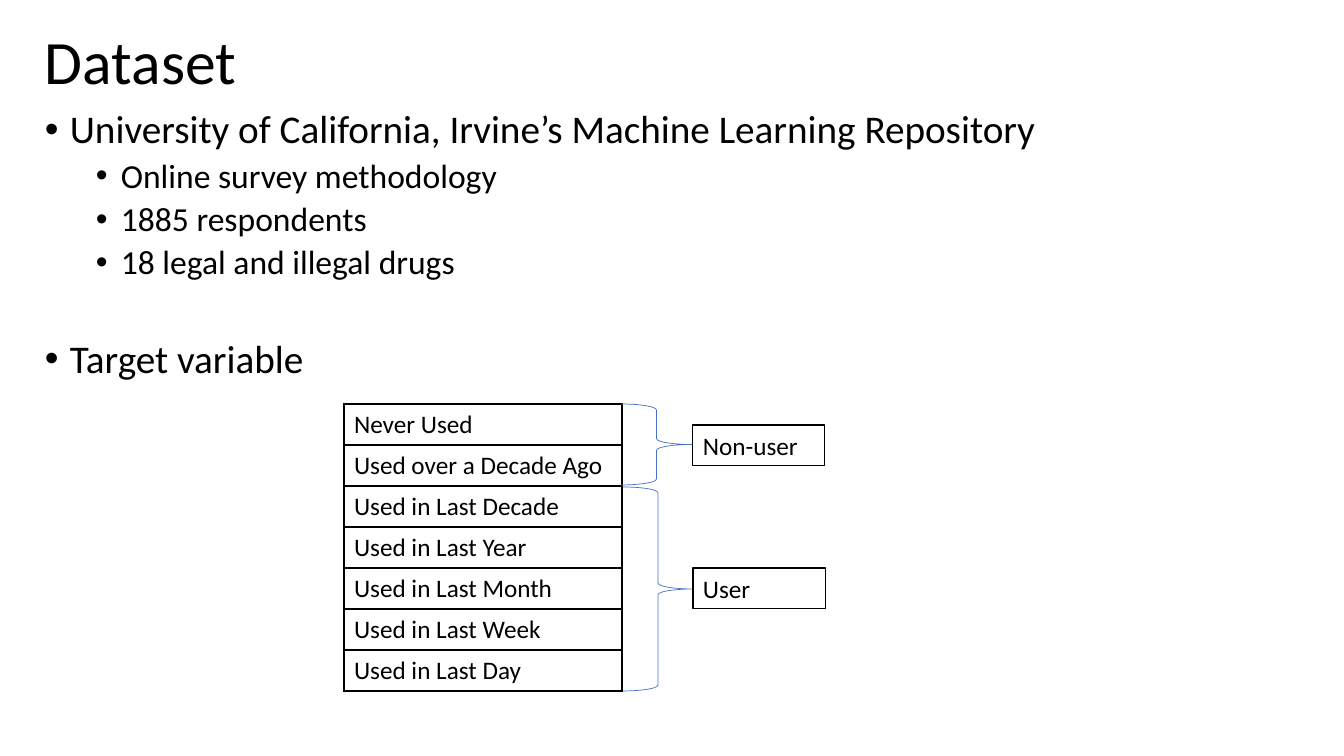
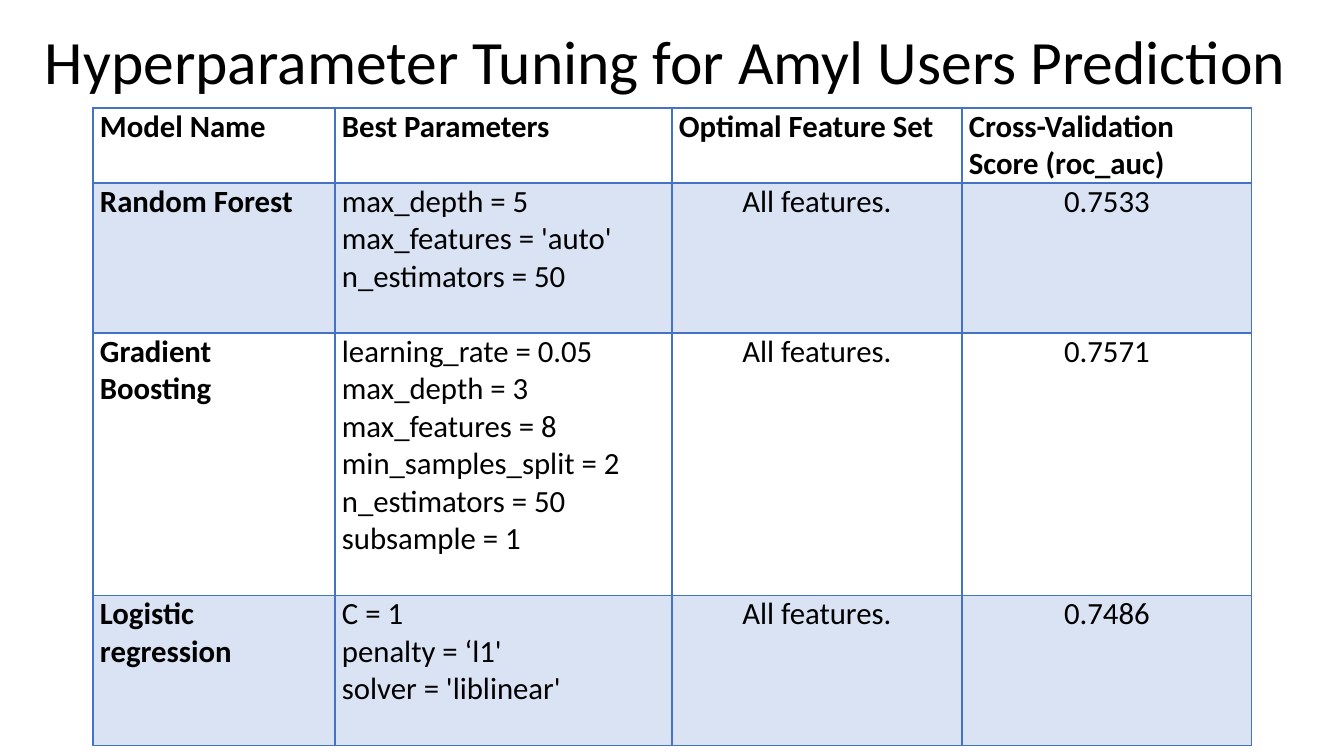
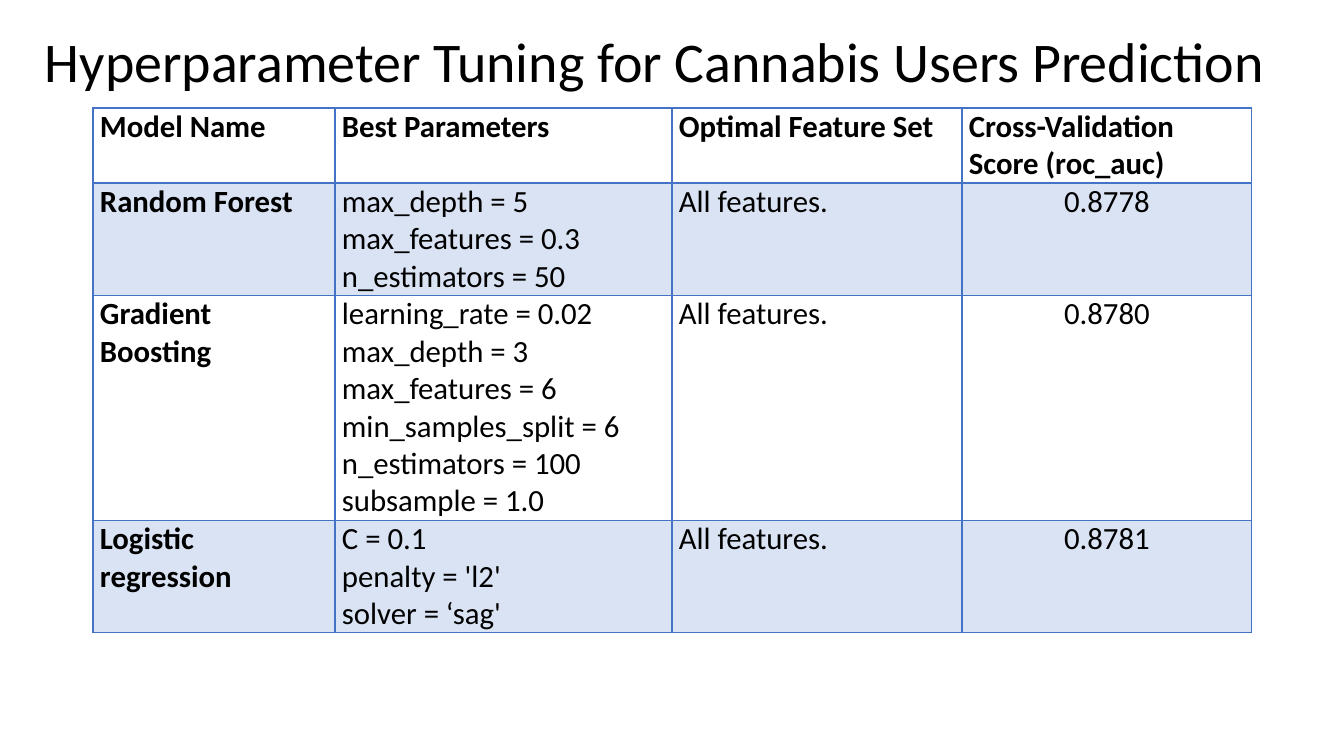
import pptx
import pptx.util
import pptx.dml.color
import pptx.enum.shapes
import pptx.enum.text
import pptx.oxml
import pptx.oxml.ns
import lxml.etree

ALIGN = pptx.enum.text.PP_ALIGN
ANCHOR = pptx.enum.text.MSO_ANCHOR
SHAPE = pptx.enum.shapes.MSO_SHAPE
BLACK = pptx.dml.color.RGBColor(0x00, 0x00, 0x00)
BLUE = pptx.dml.color.RGBColor(0x44, 0x72, 0xC4)
PALE_BLUE = pptx.dml.color.RGBColor(0xDA, 0xE3, 0xF3)
FONT = "Calibri"

DATASET_POINTS = [
    (0, "University of California, Irvine’s Machine Learning Repository", 10),
    (1, "Online survey methodology", 5),
    (1, "1885 respondents", 5),
    (1, "18 legal and illegal drugs", 5),
    (0, "Target variable", 41),
]
LEVELS = [(28, 25), (24, 76)]
HANGING = 25
USAGE = [
    "Never Used",
    "Used over a Decade Ago",
    "Used in Last Decade",
    "Used in Last Year",
    "Used in Last Month",
    "Used in Last Week",
    "Used in Last Day",
]
GROUPS = [
    ("Non-user", (621, 404, 71, 81), (693, 425, 132, 41)),
    ("User", (623, 487, 70, 204), (693, 568, 133, 41)),
]
HEADINGS = ["Model Name", "Best Parameters", "Optimal Feature Set",
            "Cross-Validation Score (roc_auc)"]
MODELS = ["Random Forest", "Gradient Boosting", "Logistic regression"]
FEATURES = "All features."
TUNINGS = [
    {
        "title": "Hyperparameter Tuning for Amyl Users Prediction",
        "title_size": 44,
        "feature_align": ALIGN.CENTER,
        "spare_lines": 1,
        "parameters": [
            ["max_depth = 5", "max_features = 'auto'", "n_estimators = 50"],
            ["learning_rate = 0.05", "max_depth = 3", "max_features = 8",
             "min_samples_split = 2", "n_estimators = 50", "subsample = 1"],
            ["C = 1", "penalty = ‘l1'", "solver = 'liblinear'"],
        ],
        "scores": ["0.7533", "0.7571", "0.7486"],
    },
    {
        "title": "Hyperparameter Tuning for Cannabis Users Prediction",
        "title_size": 40,
        "feature_align": ALIGN.JUSTIFY,
        "spare_lines": 0,
        "parameters": [
            ["max_depth = 5", "max_features = 0.3", "n_estimators = 50"],
            ["learning_rate = 0.02", "max_depth = 3", "max_features = 6",
             "min_samples_split = 6", "n_estimators = 100", "subsample = 1.0"],
            ["C = 0.1", "penalty = 'l2'", "solver = ‘sag'"],
        ],
        "scores": ["0.8778", "0.8780", "0.8781"],
    },
]
TUNING_COLUMNS = [242, 337, 290, 290]
TUNING_LINE = 37.5


def px(length):
    return pptx.util.Emu(round(length * 914400 / 100.8))


def box(*lengths):
    return [px(length) for length in lengths]


def style(paragraph, size, bold=False, align=ALIGN.LEFT):
    paragraph.font.name = FONT
    paragraph.font.size = pptx.util.Pt(size)
    paragraph.font.bold = bold
    paragraph.font.color.rgb = BLACK
    paragraph.alignment = align


def fill_text(frame, lines, size, bold=False, align=ALIGN.LEFT):
    frame.text = "\n".join(lines)
    for paragraph in frame.paragraphs:
        style(paragraph, size, bold, align)


def add_titled_slide(title, size):
    slide = deck.slides.add_slide(deck.slide_layouts[6])
    frame = slide.shapes.add_textbox(*box(35, 24, 1273, 81)).text_frame
    frame.word_wrap = True
    frame.vertical_anchor = ANCHOR.MIDDLE
    fill_text(frame, [title], size)
    frame.paragraphs[0].line_spacing = 0.9
    return slide


def add_points(slide):
    frame = slide.shapes.add_textbox(*box(35, 105, 1275, 619)).text_frame
    frame.word_wrap = True
    frame.text = "\n".join(text for _, text, _ in DATASET_POINTS)
    for paragraph, (level, _, before) in zip(frame.paragraphs, DATASET_POINTS):
        size, indent = LEVELS[level]
        style(paragraph, size)
        paragraph.level = level
        paragraph.line_spacing = 0.9
        paragraph.space_before = pptx.util.Pt(before)
        properties = paragraph._p.get_or_add_pPr()
        properties.set("marL", str(px(indent)))
        properties.set("indent", str(px(-HANGING)))
        for tag, key, value in (("buFont", "typeface", "Arial"), ("buChar", "char", "•")):
            lxml.etree.SubElement(properties, pptx.oxml.ns.qn("a:" + tag)).set(key, value)


def add_grid(slide, left, top, columns, rows):
    grid = slide.shapes.add_table(
        len(rows), len(columns), *box(left, top, sum(columns), sum(rows))).table
    grid.first_row = False
    grid.horz_banding = False
    for column, width in zip(grid.columns, columns):
        column.width = px(width)
    for row, height in zip(grid.rows, rows):
        row.height = px(height)
    return grid


def set_borders(cell, color, top=1, bottom=1):
    for side, width in (("L", 1), ("R", 1), ("T", top), ("B", bottom)):
        cell._tc.get_or_add_tcPr().append(pptx.oxml.parse_xml(
            f'<a:ln{side} {pptx.oxml.ns.nsdecls("a")} w="{pptx.util.Pt(width)}">'
            f'<a:solidFill><a:srgbClr val="{color}"/></a:solidFill></a:ln{side}>'))


def add_outline(slide, preset, place, color, width):
    shape = slide.shapes.add_shape(preset, *box(*place))
    shape.shadow.inherit = False
    shape.fill.background()
    shape.line.color.rgb = color
    shape.line.width = pptx.util.Pt(width)
    return shape


def add_dataset_slide():
    slide = add_titled_slide("Dataset", 44)
    add_points(slide)
    usage_grid = add_grid(slide, 344, 404, [278], [41] * len(USAGE))
    for cell, usage in zip(usage_grid.iter_cells(), USAGE):
        fill_text(cell.text_frame, [usage], 18)
        set_borders(cell, BLACK)
        cell.fill.background()
    for group, brace_place, label_place in GROUPS:
        add_outline(slide, SHAPE.RIGHT_BRACE, brace_place, BLUE, 0.5)
        label = add_outline(slide, SHAPE.RECTANGLE, label_place, BLACK, 0.75)
        label.text_frame.vertical_anchor = ANCHOR.TOP
        fill_text(label.text_frame, [group], 18)


def add_tuning_slide(tuning):
    slide = add_titled_slide(tuning["title"], tuning["title_size"])
    rows = [[[heading] for heading in HEADINGS]]
    heights = [2 * TUNING_LINE]
    for model, parameters, score in zip(MODELS, tuning["parameters"], tuning["scores"]):
        rows.append([[model], parameters, [FEATURES], [score]])
        heights.append((len(parameters) + tuning["spare_lines"]) * TUNING_LINE)
    aligns = [ALIGN.LEFT, ALIGN.LEFT, tuning["feature_align"], ALIGN.CENTER]
    grid = add_grid(slide, 93, 108, TUNING_COLUMNS, heights)
    for r, row in enumerate(rows):
        for c, lines in enumerate(row):
            cell = grid.cell(r, c)
            cell.margin_left = cell.margin_right = px(7)
            cell.margin_top = cell.margin_bottom = 0
            fill_text(cell.text_frame, lines, 22, r == 0 or c == 0,
                      aligns[c] if r else ALIGN.LEFT)
            set_borders(cell, BLUE, 2 if r == 1 else 1, 2 if r == 0 else 1)
            if r % 2:
                cell.fill.solid()
                cell.fill.fore_color.rgb = PALE_BLUE
            else:
                cell.fill.background()


deck = pptx.Presentation()
deck.slide_width, deck.slide_height = box(1344, 756)
add_dataset_slide()
for tuning in TUNINGS:
    add_tuning_slide(tuning)
deck.save("out.pptx")
